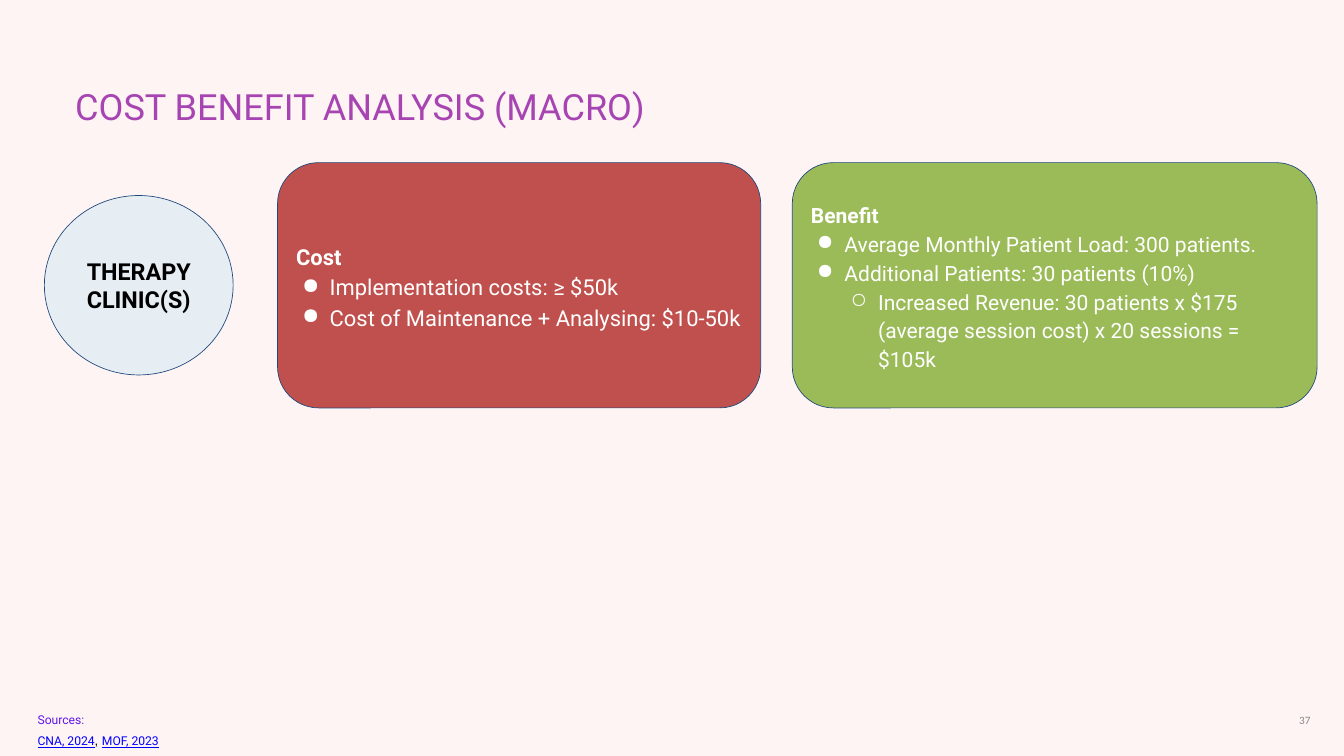
from lxml import etree
from pptx import Presentation
from pptx.dml.color import RGBColor
from pptx.enum.shapes import MSO_SHAPE
from pptx.enum.text import MSO_ANCHOR, PP_ALIGN
from pptx.oxml.ns import qn
from pptx.util import Inches, Pt

ROUNDED, OVAL = MSO_SHAPE.ROUNDED_RECTANGLE, MSO_SHAPE.OVAL
TOP, MIDDLE = MSO_ANCHOR.TOP, MSO_ANCHOR.MIDDLE
LEFT, CENTER, RIGHT = PP_ALIGN.LEFT, PP_ALIGN.CENTER, PP_ALIGN.RIGHT

COLORS = {
    "background": "FFF4F4", "title": "A645B2", "cost": "C0504D",
    "benefit": "9BBB59", "clinic": "E6EDF3", "outline": "1F497D",
    "white": "FFFFFF", "black": "000000", "source": "5E17EB",
    "link": "0000FF", "number": "888888",
}
BULLETS = ["●", "○"]
CARD_TOP, CARD_HEIGHT = 2.42, 3.65


def rgb(name):
    return RGBColor.from_string(COLORS[name])


class SlideBuilder:
    def __init__(self, slide, font="Roboto"):
        self.slide = slide
        self.font = font
        fill = slide.background.fill
        fill.solid()
        fill.fore_color.rgb = rgb("background")

    def frame(self, s, inset_x, inset_y, anchor):
        tf = s.text_frame
        formats = {
            "word_wrap": True, "vertical_anchor": anchor,
            "margin_left": Inches(inset_x), "margin_right": Inches(inset_x),
            "margin_top": Inches(inset_y), "margin_bottom": Inches(inset_y),
        }
        for name, value in formats.items():
            setattr(tf, name, value)
        return tf

    def run(self, p, text, size, color, font=None, **formats):
        r = p.add_run()
        r.text = text
        r.font.color.rgb = rgb(color)
        formats.update(size=Pt(size), name=font or self.font)
        for name, value in formats.items():
            setattr(r.font, name, value)

    def bullet(self, p, level):
        p.level = level
        pPr = p._p.get_or_add_pPr()
        pPr.set("marL", str(Inches(0.5 * (level + 1))))
        pPr.set("indent", str(Inches(-0.41)))
        bu_color = etree.SubElement(pPr, qn("a:buClr"))
        etree.SubElement(bu_color, qn("a:srgbClr"), val=COLORS["white"])
        etree.SubElement(pPr, qn("a:buChar"), char=BULLETS[level])

    def text(self, box, lines, inset=(0, 0), anchor=TOP, align=LEFT, spacing=1.4):
        """Each line is a list of (text, size, color, formats) runs."""
        s = self.slide.shapes.add_textbox(*map(Inches, box))
        tf = self.frame(s, *inset, anchor)
        for i, runs in enumerate(lines):
            p = tf.paragraphs[0] if i == 0 else tf.add_paragraph()
            p.alignment, p.line_spacing = align, spacing
            for text, size, color, formats in runs:
                self.run(p, text, size, color, **formats)

    def shape(self, kind, box, fill):
        s = self.slide.shapes.add_shape(kind, *map(Inches, box))
        s.shadow.inherit = False
        s.fill.solid()
        s.fill.fore_color.rgb = rgb(fill)
        s.line.color.rgb = rgb("outline")
        s.line.width = Pt(0.75)
        return s, self.frame(s, 0.1, 0.1, MIDDLE)

    def card(self, left, width, fill, size, heading, items):
        """Rounded card with a bold heading and (level, text) bullets."""
        s, tf = self.shape(ROUNDED, (left, CARD_TOP, width, CARD_HEIGHT), fill)
        s.adjustments[0] = 0.167
        p = tf.paragraphs[0]
        p.alignment, p.line_spacing = LEFT, 1.15
        self.run(p, heading, size, "white", bold=True)
        for level, text in items:
            p = tf.add_paragraph()
            p.alignment, p.line_spacing = LEFT, 1.15
            self.bullet(p, level)
            self.run(p, text, size, "white")

    def circle(self, box, fill, text, size):
        tf = self.shape(OVAL, box, fill)[1]
        p = tf.paragraphs[0]
        p.alignment = CENTER
        self.run(p, text, size, "black", bold=True)


def main():
    prs = Presentation()
    prs.slide_width, prs.slide_height = Inches(20), Inches(11.25)
    b = SlideBuilder(prs.slides.add_slide(prs.slide_layouts[6]))

    b.text((17.27, 10.51, 2.33, 0.4), [[("37", 12, "number", {"font": "Calibri"})]],
           inset=(0.1, 0.05), anchor=MIDDLE, align=RIGHT, spacing=1.0)
    b.text((1.12, 1, 10.67, 0.65),
           [[("COST BENEFIT ANALYSIS (MACRO)", 38.7, "title", {})]])

    b.card(4.13, 7.19, "cost", 23.5, "Cost", [
        (0, "Implementation costs: ≥ $50k"),
        (0, "Cost of Maintenance + Analysing: $10-50k"),
    ])
    b.card(11.79, 7.81, "benefit", 22.5, "Benefit", [
        (0, "Average Monthly Patient Load: 300 patients."),
        (0, "Additional Patients: 30 patients (10%)"),
        (1, "Increased Revenue: 30 patients x $175 "
            "(average session cost) x 20 sessions = $105k"),
    ])
    b.circle((0.66, 2.91, 2.81, 2.67), "clinic", "THERAPY CLINIC(S)", 25)

    underlined = {"underline": True}
    b.text((0.56, 10.51, 11.74, 0.54), [
        [("Sources:", 13, "source", {})],
        [("CNA, 2024", 13, "link", underlined),
         (", ", 14, "black", {"font": "Arial"}),
         ("MOF, 2023", 13, "link", underlined)],
    ])
    prs.save("out.pptx")


if __name__ == "__main__":
    main()
